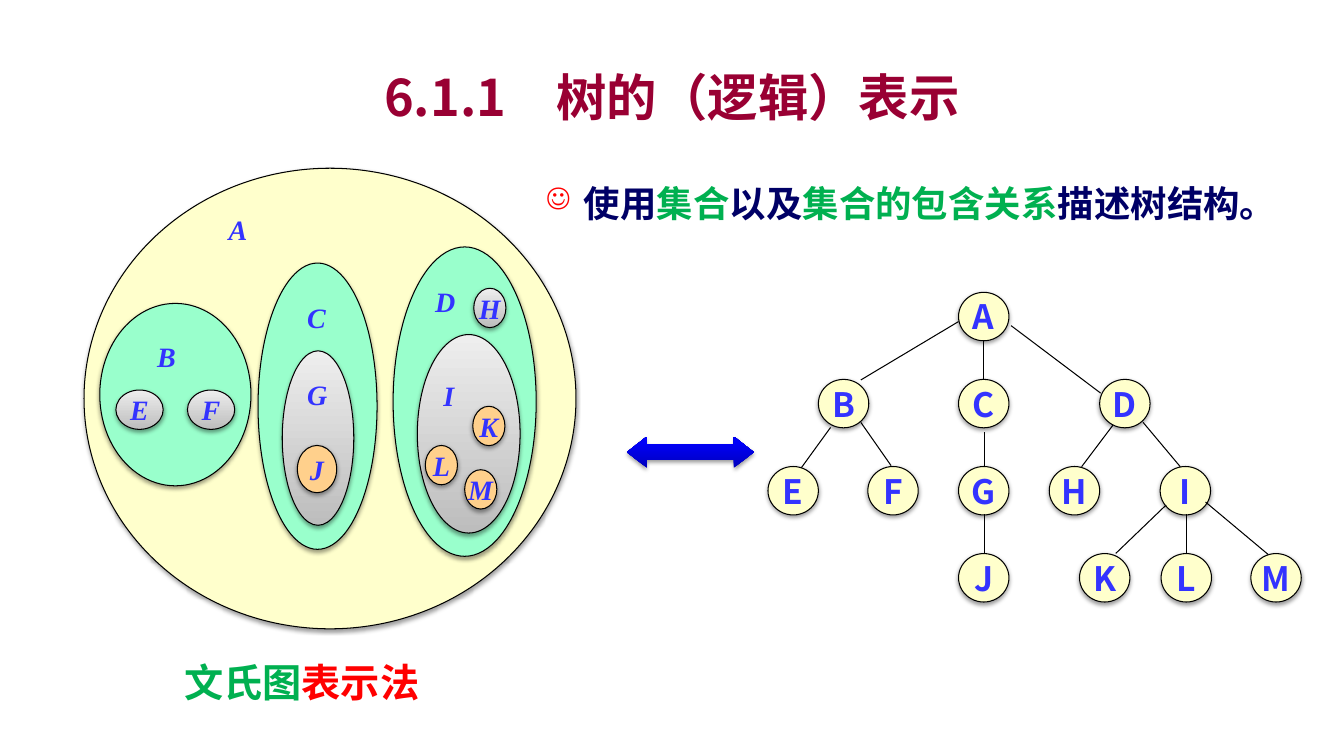
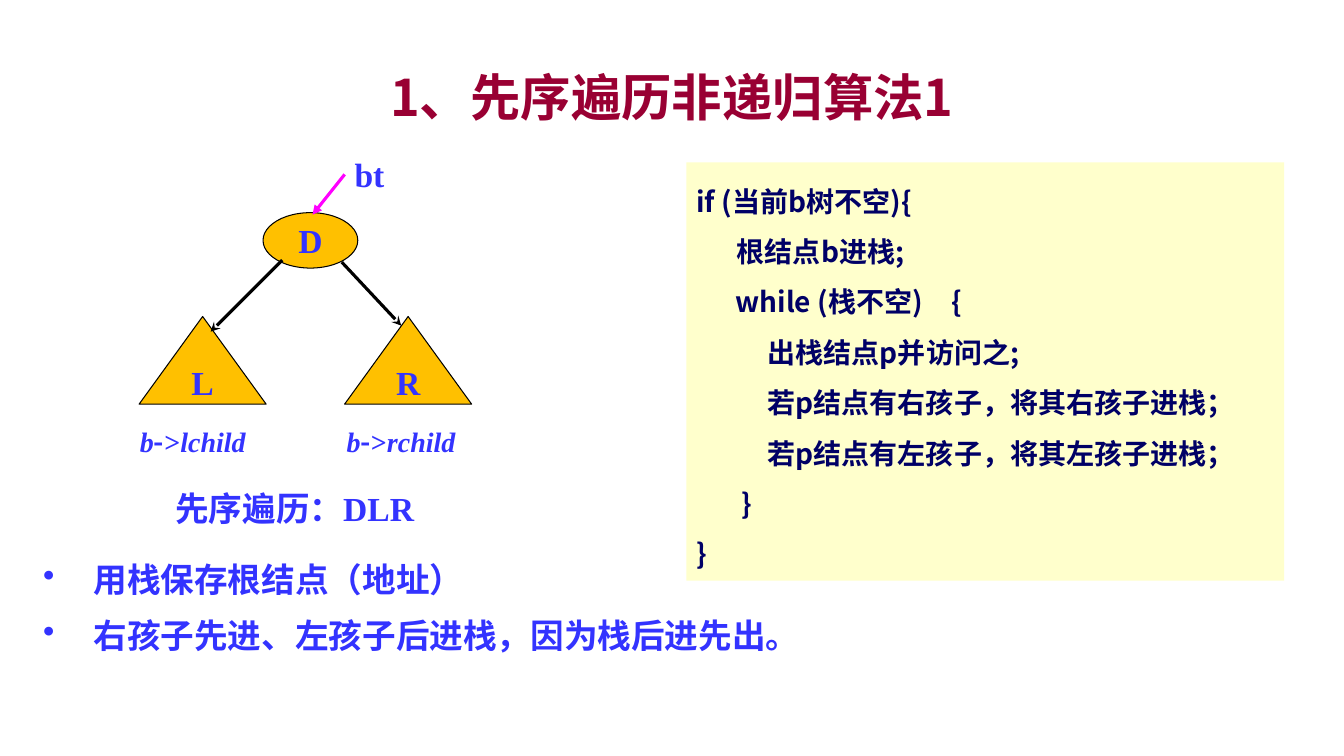
from dataclasses import dataclass, replace
from typing import Any, NamedTuple

from lxml.etree import SubElement
from pptx import Presentation
from pptx.dml.color import RGBColor
from pptx.enum.shapes import MSO_CONNECTOR, MSO_SHAPE
from pptx.enum.text import MSO_ANCHOR, PP_ALIGN
from pptx.oxml.ns import qn
from pptx.util import Pt

OVAL = MSO_SHAPE.OVAL
RECT = MSO_SHAPE.RECTANGLE
CONE = MSO_SHAPE.ISOSCELES_TRIANGLE
ARROW = MSO_SHAPE.LEFT_RIGHT_ARROW
STRAIGHT = MSO_CONNECTOR.STRAIGHT
MIDDLE, TOP = MSO_ANCHOR.MIDDLE, MSO_ANCHOR.TOP
CENTER, LEFT = PP_ALIGN.CENTER, PP_ALIGN.LEFT

BLACK = RGBColor(0x00, 0x00, 0x00)
WINE = RGBColor(0x99, 0x00, 0x33)
NAVY = RGBColor(0x00, 0x00, 0x66)
BLUE = RGBColor(0x33, 0x33, 0xFF)
GREEN = RGBColor(0x00, 0xB0, 0x50)
RED = RGBColor(0xFF, 0x00, 0x00)
PINK = RGBColor(0xFF, 0x00, 0xFF)
CREAM = RGBColor(0xFF, 0xFF, 0xCC)
MINT = RGBColor(0x99, 0xFF, 0xCC)
PEACH = RGBColor(0xFF, 0xD0, 0x8C)
GOLD = RGBColor(0xFF, 0xC0, 0x00)

SANS = "Noto Sans CJK SC"
SERIF = "Times New Roman"


class Blend(NamedTuple):
    start: RGBColor
    end: RGBColor
    stop: float


GREY = Blend(RGBColor(0xBD, 0xBD, 0xBD), RGBColor(0xEE, 0xEE, 0xEE), 1.0)
DEEP = Blend(RGBColor(0x00, 0x00, 0xBE), RGBColor(0x00, 0x00, 0xF8), 0.8)


class Box(NamedTuple):
    left: float
    top: float
    width: float
    height: float


class Look(NamedTuple):
    size: float
    face: str = SANS
    color: RGBColor = BLUE
    slant: bool = False


HEAD = Look(36, color=WINE)
NODE = Look(24)
BOLD = Look(24, SERIF)
SMALL = Look(20, SERIF)
SET = Look(20, SERIF, slant=True)
CODE = Look(20, color=NAVY)
HINT = Look(26, color=NAVY)
NOTE = Look(28, color=GREEN)


class Run(NamedTuple):
    text: str
    look: Look


class Mark(NamedTuple):
    sign: str
    color: RGBColor
    scale: int


@dataclass(frozen=True)
class Para:
    runs: tuple[Run, ...]
    form: dict[str, Any]
    margin: float = 0
    hang: float = 0
    mark: Mark | None = None


class Bubble(NamedTuple):
    box: Box
    fill: RGBColor | Blend
    text: str = ""


class Edge(NamedTuple):
    x1: float
    y1: float
    x2: float
    y2: float
    color: RGBColor = BLACK
    width: float = 0.75
    tip: str = ""


def apply(target: Any, form: dict[str, Any]) -> None:
    for name, value in form.items():
        setattr(target, name, value)


def place(box: Box) -> tuple[Pt, ...]:
    return tuple(Pt(side) for side in box)


def line(text: str, look: Look, **form: Any) -> Para:
    return Para((Run(text, look),), form)


def write(frame: Any, paras: list[Para], **form: Any) -> None:
    apply(frame, form)
    for index, item in enumerate(paras):
        para = frame.add_paragraph() if index else frame.paragraphs[0]
        apply(para, item.form)
        props = para._p.get_or_add_pPr()
        if item.margin:
            props.set("marL", str(Pt(item.margin)))
            props.set("indent", str(Pt(-item.hang)))
        if item.mark:
            tint = SubElement(props, qn("a:buClr"))
            SubElement(tint, qn("a:srgbClr"), val=str(item.mark.color))
            SubElement(props, qn("a:buSzPct"), val=str(item.mark.scale * 1000))
            SubElement(props, qn("a:buChar"), char=item.mark.sign)
        for text, look in item.runs:
            run = para.add_run()
            run.text = text
            apply(run.font, {"size": Pt(look.size), "name": look.face,
                             "bold": True, "italic": look.slant})
            run.font.color.rgb = look.color
            SubElement(run._r.get_or_add_rPr(), qn("a:ea"), typeface=SANS)


def paint(shape: Any, fill: RGBColor | Blend) -> None:
    if isinstance(fill, Blend):
        shape.fill.gradient()
        shape.fill.gradient_angle = 90
        first, last = shape.fill.gradient_stops
        first.color.rgb, last.color.rgb = fill.start, fill.end
        apply(first, {"position": 0})
        apply(last, {"position": fill.stop})
    else:
        shape.fill.solid()
        shape.fill.fore_color.rgb = fill


def draw(slide: Any, kind: Any, box: Box, fill: RGBColor | Blend,
         edge: bool = True, shade: bool = False) -> Any:
    shape = slide.shapes.add_shape(kind, *place(box))
    paint(shape, fill)
    shape.shadow.inherit = False
    if edge:
        shape.line.color.rgb = BLACK
        shape.line.width = Pt(0.75)
    else:
        shape.line.fill.background()
    if shade:
        glow = SubElement(shape._element.spPr.find(qn("a:effectLst")), qn("a:outerShdw"),
                          blurRad=str(Pt(3.1)), dist=str(Pt(1.6)),
                          dir="5400000", rotWithShape="0")
        tint = SubElement(glow, qn("a:srgbClr"), val=str(BLACK))
        SubElement(tint, qn("a:alpha"), val="38000")
    return shape


def label(shape: Any, text: str, look: Look) -> None:
    write(shape.text_frame, [line(text, look, alignment=CENTER)],
          word_wrap=False, vertical_anchor=MIDDLE)


def note(slide: Any, box: Box, *paras: Para) -> None:
    frame = slide.shapes.add_textbox(*place(box)).text_frame
    write(frame, list(paras), word_wrap=True)


def link(slide: Any, edge: Edge) -> None:
    ends = (Pt(value) for value in edge[:4])
    wire = slide.shapes.add_connector(STRAIGHT, *ends)
    wire.line.color.rgb = edge.color
    wire.line.width = Pt(edge.width)
    if edge.tip:
        SubElement(wire.line._get_or_add_ln(), qn("a:tailEnd"), type=edge.tip)
    SubElement(wire._element.spPr, qn("a:effectLst"))


def start(deck: Any, text: str) -> Any:
    slide = deck.slides.add_slide(deck.slide_layouts[5])
    title = slide.shapes.title
    apply(title, dict(zip(("left", "top", "width", "height"), place(Box(72, 41.8, 816, 54)))))
    write(title.text_frame, [line(text, HEAD, alignment=CENTER)],
          vertical_anchor=MIDDLE, word_wrap=True)
    return slide


BUBBLES = [
    Bubble(Box(60, 120.2, 351.4, 329), CREAM),
    Bubble(Box(71.3, 216.7, 108, 130.3), MINT),
    Bubble(Box(82.8, 278.6, 33.8, 28.1), GREY, "E"),
    Bubble(Box(133.9, 278.6, 33.8, 28.1), GREY, "F"),
    Bubble(Box(184.3, 187.9, 85, 204.5), MINT),
    Bubble(Box(201.6, 250.6, 51.1, 124.6), GREY),
    Bubble(Box(212.4, 318.2, 28.1, 33.8), PEACH, "J"),
    Bubble(Box(280.8, 176.4, 102.2, 221), MINT),
    Bubble(Box(298.1, 239, 73.4, 141.8), GREY),
    Bubble(Box(338.4, 205.9, 23, 28.1), GREY, "H"),
    Bubble(Box(337.7, 290.2, 23, 28.1), PEACH, "K"),
    Bubble(Box(303.8, 318.2, 23, 28.1), PEACH, "L"),
    Bubble(Box(331.9, 335.5, 23, 28.1), PEACH, "M"),
]
NAMES = {"A": (156.2, 148.3), "B": (105.1, 239), "C": (212.4, 211),
         "G": (212.4, 266.4), "D": (303.8, 199.4), "I": (309.6, 267.1)}

ROWS = [
    {"A": 684.7},
    {"B": 584.6, "C": 684.7, "D": 785.5},
    {"E": 548.6, "F": 619.9, "G": 684.7, "H": 749.5, "I": 828.7},
    {"J": 684.7, "K": 771.1, "L": 829.4, "M": 893.5},
]
ROW_TOP, ROW_STEP = 208.8, 62.2
EDGES = [
    Edge(684.7, 229.7, 614.9, 271.4), Edge(702.7, 243.4, 702.7, 270.7),
    Edge(722.2, 232.6, 786.2, 280.8), Edge(593.3, 305.3, 572.4, 334.1),
    Edge(614.9, 301.7, 636.5, 332.6), Edge(703.4, 308.9, 703.4, 332.6),
    Edge(703.4, 367.2, 703.4, 395.3), Edge(794.9, 303.8, 772.6, 333.4),
    Edge(816.5, 301.7, 843.1, 333.4), Edge(833, 360.7, 797, 395.3),
    Edge(847.4, 367.2, 847.4, 395.3), Edge(861.1, 358.6, 905.8, 396),
]
STEPS = [
    (0, "if (当前b树不空){"),
    (29, "根结点b进栈;"),
    (28, "while (栈不空)　{"),
    (51, "出栈结点p并访问之;"),
    (51, "若p结点有右孩子，将其右孩子进栈；"),
    (51, "若p结点有左孩子，将其左孩子进栈；"),
    (32, "}"),
    (0, "}"),
]
POINTS = ["用栈保存根结点（地址）", "右孩子先进、左孩子后进栈，因为栈后进先出。"]


def sets(deck: Any) -> None:
    slide = start(deck, "6.1.1　树的（逻辑）表示")
    note(slide, Box(105.1, 466.6, 221, 41),
         Para((Run("文氏图", NOTE), Run("表示法", NOTE._replace(color=RED))),
              {"alignment": CENTER}))
    lit = HINT._replace(color=GREEN)
    words = (Run("使用", HINT), Run("集合", lit), Run("以及", HINT),
             Run("集合的包含关系", lit), Run("描述树结构。", HINT))
    note(slide, Box(383, 108, 553, 72),
         Para(words, {"line_spacing": Pt(49)}, 27, 27, Mark("☺", RED, 80)))
    for box, fill, text in BUBBLES:
        shape = draw(slide, OVAL, box, fill, shade=True)
        if text:
            label(shape, text, SET)
    for text, (left, top) in NAMES.items():
        note(slide, Box(left, top, 28, 31), line(text, SET))
    arrow = draw(slide, ARROW, Box(447.8, 311.8, 90.7, 22.3), DEEP, edge=False, shade=True)
    arrow.adjustments[0], arrow.adjustments[1] = 0.5, 0.64
    for depth, row in enumerate(ROWS):
        for text, left in row.items():
            box = Box(left, ROW_TOP + depth * ROW_STEP, 36, 34.6)
            label(draw(slide, OVAL, box, CREAM, shade=True), text, NODE)
    for edge in EDGES:
        link(slide, edge)


def walk(deck: Any) -> None:
    slide = start(deck, "1、先序遍历非递归算法1")
    panel = draw(slide, RECT, Box(490.3, 115.9, 427, 298.8), CREAM, edge=False)
    form = {"alignment": LEFT, "line_spacing": Pt(36)}
    code = [replace(line(text, CODE, **form), margin=margin) for margin, text in STEPS]
    write(panel.text_frame, code, word_wrap=True, vertical_anchor=TOP)
    note(slide, Box(118.1, 344.9, 295.2, 36), line("先序遍历：DLR", BOLD))
    note(slide, Box(246.2, 106.6, 67.7, 36), line("bt", BOLD))
    for left, child in ((92.9, "lchild"), (240.5, "rchild")):
        runs = (Run("b", SET), Run("-", SMALL._replace(face=SANS)),
                Run(">", SMALL), Run(child, SET))
        note(slide, Box(left, 299.5, 102, 31), Para(runs, {}))
    for kind, text, box in (
        (OVAL, "D", Box(187.9, 151.9, 67.7, 39.6)),
        (CONE, "L", Box(99.4, 226.1, 90.7, 62.6)),
        (CONE, "R", Box(246.2, 226.1, 90.7, 62.6)),
    ):
        label(draw(slide, kind, box, GOLD), text, BOLD)
    for edge in (
        Edge(246.2, 124.6, 223.2, 153.4, PINK, 2.25, "triangle"),
        Edge(201.6, 185.8, 150.5, 236.9, BLACK, 2.25, "stealth"),
        Edge(244.1, 187.2, 286.6, 232.6, BLACK, 2.25, "stealth"),
    ):
        link(slide, edge)
    dot = Mark("•", BLUE, 100)
    items = [Para((Run(text, NODE),),
                  {"line_spacing": Pt(28), "space_before": Pt(12 if index else 0)}, 36, 36, dot)
             for index, text in enumerate(POINTS)]
    note(slide, Box(23.8, 396.7, 563.8, 78.5), *items)


def main() -> None:
    deck = Presentation()
    apply(deck, {"slide_width": Pt(960), "slide_height": Pt(540)})
    sets(deck)
    walk(deck)
    deck.save("out.pptx")


if __name__ == "__main__":
    main()
